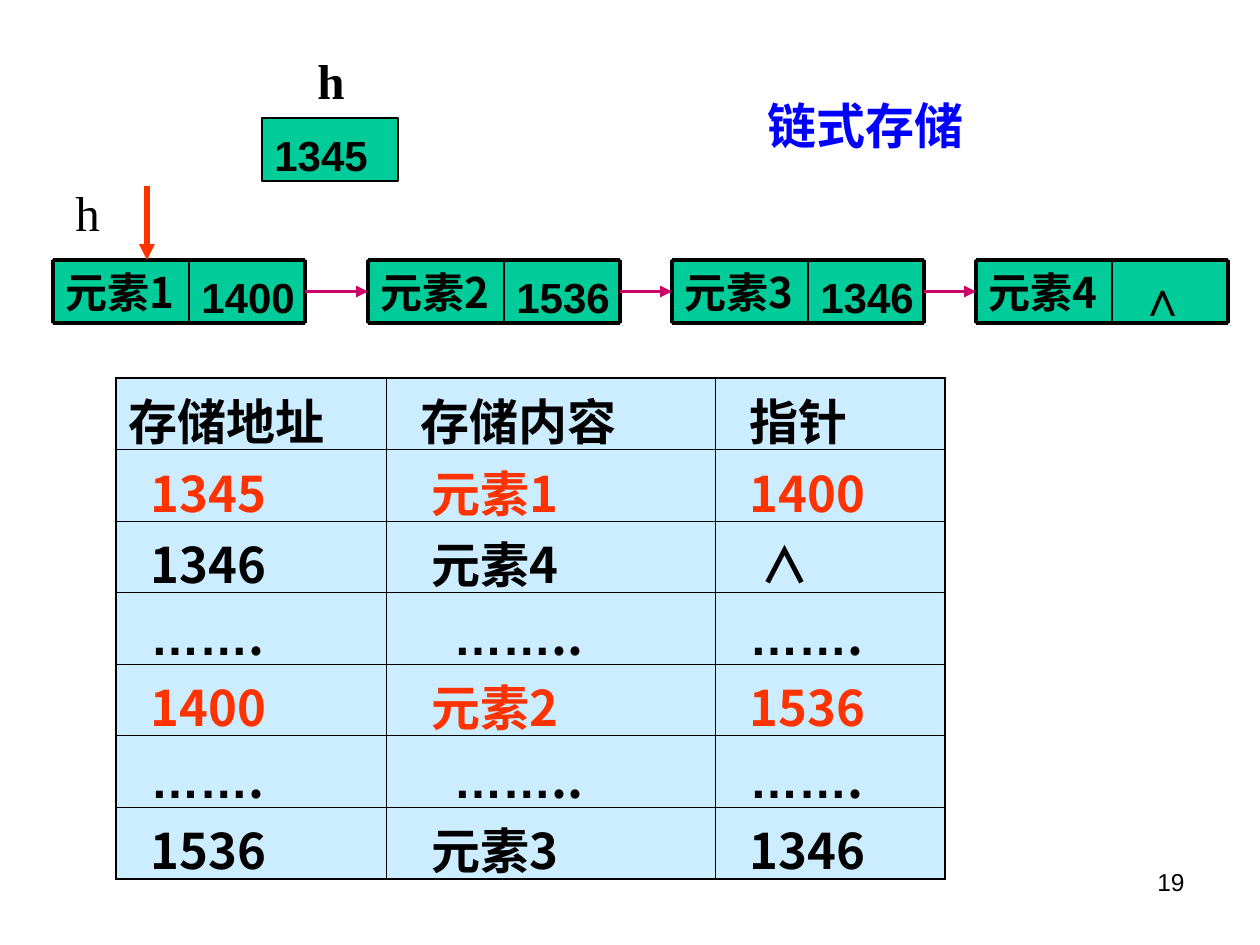
from itertools import pairwise

from pptx import Presentation
from pptx.dml.color import RGBColor
from pptx.enum.shapes import MSO_CONNECTOR, MSO_SHAPE
from pptx.enum.text import MSO_ANCHOR, PP_ALIGN
from pptx.oxml.ns import qn
from pptx.util import Emu, Pt
from lxml.etree import SubElement

BLACK = RGBColor(0x00, 0x00, 0x00)
BLUE = RGBColor(0x00, 0x00, 0xFF)
RED = RGBColor(0xFF, 0x33, 0x00)
MAGENTA = RGBColor(0xCC, 0x00, 0x66)
GREEN = RGBColor(0x00, 0xCC, 0x99)
PALE_BLUE = RGBColor(0xCC, 0xEC, 0xFF)

ARIAL = "Arial"
CJK = "Noto Sans CJK SC"
TIMES = "Times New Roman"

NODE_TOP, NODE_HEIGHT = 260, 63
DATA_WIDTH, POINTER_WIDTH = 136, 116
SPACE = 11  # one step of indent inside the table


def px(count):
    return Emu(round(count * 914400 / 126))


class ListSlide:
    def __init__(self, deck):
        self.page = deck.slides.add_slide(deck.slide_layouts[6])

    def add_spans(self, para, spans, size, color=BLACK, bold=True, indent=0):
        """Fill a paragraph with (text, font name) spans."""
        if indent:
            properties = para._p.get_or_add_pPr()
            properties.set("marL", str(px(indent)))
            properties.set("indent", "0")
        for text, name in spans:
            span = para.add_run()
            span.text = text
            span.font.size = Pt(size)
            span.font.bold = bold
            span.font.color.rgb = color
            span.font.name = name
            for tag in ("a:ea", "a:sym"):
                SubElement(span._r.get_or_add_rPr(), qn(tag), typeface=name)

    def text(self, left, top, width, height, words, name, size, align=PP_ALIGN.LEFT, wrap=False, **style):
        box = self.page.shapes.add_textbox(px(left), px(top), px(width), px(height))
        box.text_frame.word_wrap = wrap
        para = box.text_frame.paragraphs[0]
        para.alignment = align
        self.add_spans(para, [(words, name)], size, **style)

    def cell(self, left, top, width, words, name=ARIAL, size=24, indent=0, drop=0):
        box = self.page.shapes.add_shape(
            MSO_SHAPE.RECTANGLE, px(left), px(top), px(width), px(NODE_HEIGHT))
        box.shadow.inherit = False
        box.fill.solid()
        box.fill.fore_color.rgb = GREEN
        box.line.color.rgb = BLACK
        box.line.width = Pt(0.75)
        frame = box.text_frame
        frame.word_wrap = False
        frame.vertical_anchor = MSO_ANCHOR.MIDDLE
        frame.margin_top = px(6 + drop)
        para = frame.paragraphs[0]
        para.alignment = PP_ALIGN.LEFT
        self.add_spans(para, [(words, name)], size, indent=indent)
        return box

    def line(self, x1, y1, x2, y2, color=BLACK, weight=2.25, arrow=False):
        line = self.page.shapes.add_connector(
            MSO_CONNECTOR.STRAIGHT, px(x1), px(y1), px(x2), px(y2))
        line.line.color.rgb = color
        line.line.width = Pt(weight)
        if arrow:
            SubElement(line.line._get_or_add_ln(), qn("a:tailEnd"), type="triangle")
        SubElement(line._element.spPr, qn("a:effectLst"))
        return line

    def node(self, left, element, pointer, **pointer_style):
        """Draw one list node and return its data and pointer cells."""
        middle, right = left + DATA_WIDTH, left + DATA_WIDTH + POINTER_WIDTH
        bottom = NODE_TOP + NODE_HEIGHT
        pointer_cell = self.cell(middle, NODE_TOP, POINTER_WIDTH, pointer, **pointer_style)
        data_cell = self.cell(left, NODE_TOP, DATA_WIDTH, element, CJK)
        for y in (NODE_TOP, bottom):
            self.line(left, y, right, y)
        for x, weight in ((left, 2.25), (middle, 1), (right, 2.25)):
            self.line(x, NODE_TOP, x, bottom, weight=weight)
        return data_cell, pointer_cell

    def link(self, source, target):
        arrow = self.line(0, 0, 0, 0, MAGENTA, arrow=True)
        arrow.begin_connect(source, 3)
        arrow.end_connect(target, 1)

    def table(self, left, top, widths, height, rows):
        """Draw rows of (color, cells), each cell being (indent, spans)."""
        table = self.page.shapes.add_table(
            len(rows), len(widths), px(left), px(top), px(sum(widths)), px(height)).table
        table.first_row = table.horz_banding = False
        for column, width in zip(table.columns, widths):
            column.width = px(width)
        last_row, last_column = len(rows) - 1, len(widths) - 1
        for r, (color, cells) in enumerate(rows):
            for c, (indent, spans) in enumerate(cells):
                cell = table.cell(r, c)
                cell.margin_top, cell.margin_bottom = px(6), px(0)
                self.add_spans(cell.text_frame.paragraphs[0], spans, 28, color, indent=indent)
                outer = {"a:lnL": c == 0, "a:lnR": c == last_column,
                         "a:lnT": r == 0, "a:lnB": r == last_row}
                for tag, is_outer in outer.items():
                    weight = Pt(1.08 if is_outer else 0.45)
                    edge = SubElement(cell._tc.get_or_add_tcPr(), qn(tag), w=str(weight))
                    fill = SubElement(edge, qn("a:solidFill"))
                    SubElement(fill, qn("a:srgbClr"), val=str(BLACK))
                cell.fill.solid()
                cell.fill.fore_color.rgb = PALE_BLUE


def record(address, element, pointer, color=BLACK, pointer_indent=2):
    words = ((2, address), (3, element), (pointer_indent, pointer))
    return color, [(SPACE * steps, [(text, CJK)]) for steps, text in words]


def gap():
    dots = ((2, "."), (5, ".."), (2, "."))
    return BLACK, [(SPACE * steps, [("……", ARIAL), (tail, CJK)]) for steps, tail in dots]


def main():
    deck = Presentation()
    deck.slide_width, deck.slide_height = px(1260), px(945)
    slide = ListSlide(deck)

    slide.text(903, 861, 294, 66, "19", ARIAL, 14, align=PP_ALIGN.RIGHT, wrap=True, bold=False)

    nodes = [slide.node(left, f"元素{number}", pointer, drop=10)
             for number, left, pointer in ((1, 53, "1400"), (2, 368, "1536"), (3, 672, "1346"))]
    nodes.append(slide.node(976, "元素4", "∧", size=28, indent=14, drop=12))
    slide.cell(262, 118, DATA_WIDTH, "1345", drop=10)
    slide.text(63, 176, 49, 72, "h", TIMES, 28, bold=False)
    for (_, pointer_cell), (data_cell, _) in pairwise(nodes):
        slide.link(pointer_cell, data_cell)

    header = BLACK, [(indent, [(text, CJK)]) for indent, text in
                     ((0, "存储地址"), (2 * SPACE, "存储内容"), (2 * SPACE, "指针"))]
    slide.table(116, 378, (270, 329, 230), 501, [
        header,
        record("1345", "元素1", "1400", RED),
        record("1346", "元素4", "∧", pointer_indent=3),
        gap(),
        record("1400", "元素2", "1536", RED),
        gap(),
        record("1536", "元素3", "1346"),
    ])

    slide.text(746, 89, 238, 72, "链式存储", CJK, 28, color=BLUE, indent=9)
    slide.line(147, 186, 147, 260, RED, 3, arrow=True)
    slide.text(305, 44, 53, 72, "h", TIMES, 28, wrap=True)
    deck.save("out.pptx")


if __name__ == "__main__":
    main()
